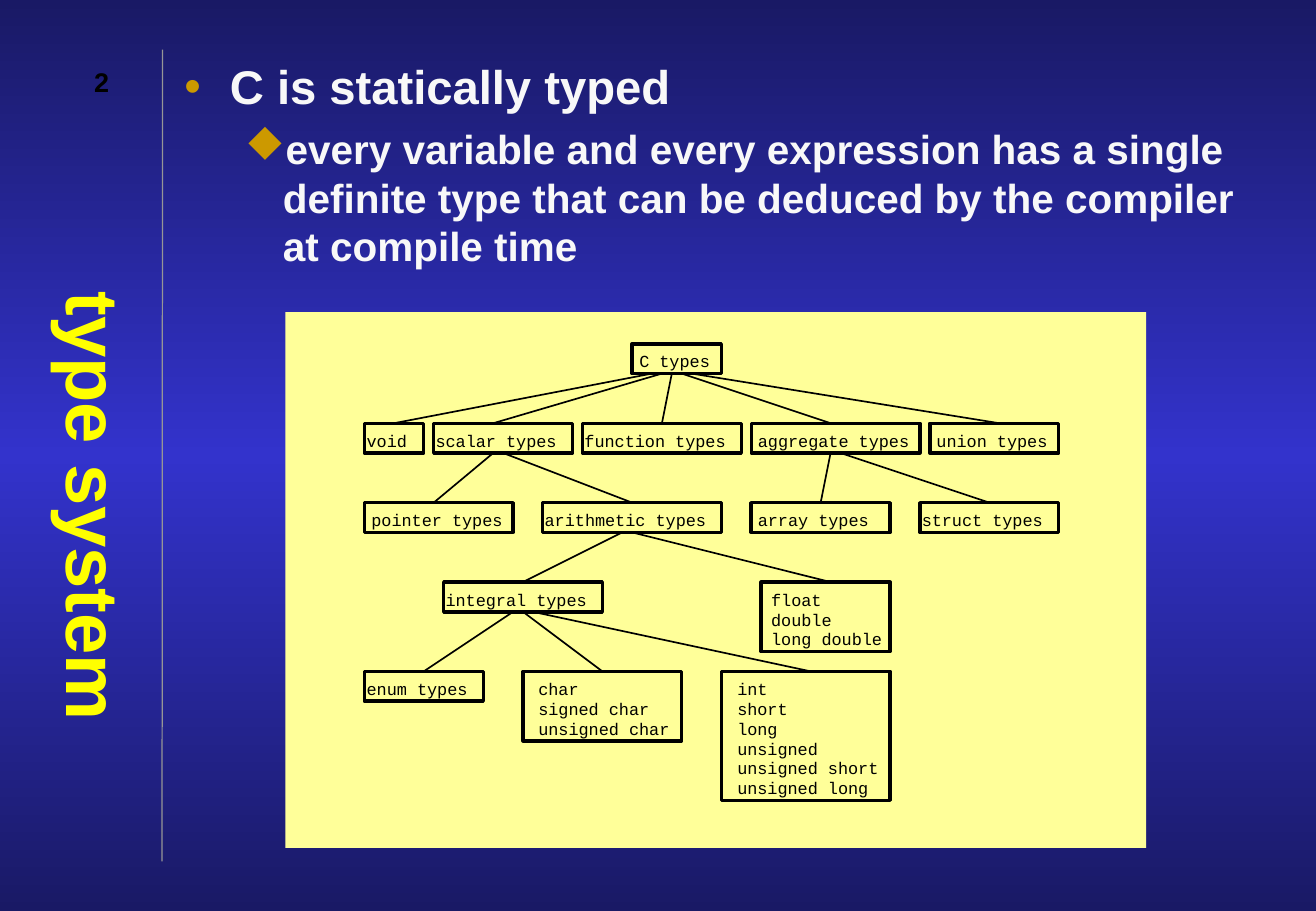
import copy
from dataclasses import dataclass

import pptx
import pptx.dml.color
import pptx.enum.shapes
import pptx.enum.text
import pptx.oxml
import pptx.oxml.ns
import pptx.shapes.autoshape
import pptx.slide
import pptx.text.text
import pptx.util

Cm = pptx.util.Cm
Pt = pptx.util.Pt
RGBColor = pptx.dml.color.RGBColor
Align = pptx.enum.text.PP_ALIGN
Anchor = pptx.enum.text.MSO_ANCHOR
qn = pptx.oxml.ns.qn

NAVY = RGBColor(0x19, 0x19, 0x65)
BLUE = RGBColor(0x33, 0x33, 0xCC)
GREY = RGBColor(0x96, 0x96, 0x96)
CREAM = RGBColor(0xFF, 0xFF, 0x99)
YELLOW = RGBColor(0xFF, 0xFF, 0x00)
GOLD = RGBColor(0xCC, 0x99, 0x00)
WHITE = RGBColor(0xF8, 0xF8, 0xF8)
BLACK = RGBColor(0x00, 0x00, 0x00)

# The type tree lies on a grid, 70 columns wide
GRID = 14.53 / 70
LEFT, TOP = 7.62, 7.19


@dataclass
class Box:
    """A tree node: col, row, wide and the line ends count grid steps."""
    text: str
    col: int
    row: int
    wide: int
    pad: float
    enter: int = 0    # column where the line from above arrives
    leave: int = 0    # column of the first line going down
    kids: tuple[str, ...] = ()

    @property
    def tall(self) -> int:
        return 2 * len(self.text.split("\n")) + 1


@dataclass
class Point:
    text: str
    size: int
    before: int
    face: str
    mark: str
    indent: float
    hang: float
    level: int


BOXES = [
    Box("C types", 27, 0, 9, 0.15, 0, 29,
        ("void", "scalar types", "function types", "aggregate types", "union types")),
    Box("void", 0, 8, 6, 0.05, 3),
    Box("scalar types", 7, 8, 14, 0.04, 13, 13, ("pointer types", "arithmetic types")),
    Box("function types", 22, 8, 16, 0.04, 30),
    Box("aggregate types", 39, 8, 17, 0.14, 47, 47, ("array types", "struct types")),
    Box("union types", 57, 8, 13, 0.14, 64),
    Box("pointer types", 0, 16, 15, 0.15, 7),
    Box("arithmetic types", 18, 16, 18, 0.04, 27, 26,
        ("integral types", "float\ndouble\nlong double")),
    Box("array types", 39, 16, 14, 0.14, 46),
    Box("struct types", 56, 16, 14, 0.04, 63),
    Box("integral types", 8, 24, 16, 0.04, 16, 15,
        ("enum types", "char\nsigned char\nunsigned char",
         "int\nshort\nlong\nunsigned\nunsigned short\nunsigned long")),
    Box("float\ndouble\nlong double", 40, 24, 13, 0.21, 47),
    Box("enum types", 0, 33, 12, 0.05, 6),
    Box("char\nsigned char\nunsigned char", 16, 33, 16, 0.32, 24),
    Box("int\nshort\nlong\nunsigned\nunsigned short\nunsigned long", 36, 33, 17, 0.33, 45),
]

# In Wingdings the letter u is a solid diamond
POINTS = [
    Point("C is statically typed", 28, 7, "Arial", "•", 0.95, 0.95, 0),
    Point("every variable and every expression has a single definite type "
          "that can be deduced by the compiler at compile time",
          24, 6, "Wingdings", "u", 2.06, 0.79, 1),
]


def across(col: int) -> Cm:
    return Cm(LEFT + col * GRID)


def down(row: int) -> Cm:
    return Cm(TOP + row * GRID)


def style(para: pptx.text.text._Paragraph, face: str, size: int,
          color: RGBColor, bold: bool = False) -> None:
    font = para.font
    font.name, font.size, font.bold = face, Pt(size), bold
    font.color.rgb = color


def inset(frame: pptx.text.text.TextFrame, side: float, upper: float) -> None:
    frame.margin_left = frame.margin_right = Cm(side)
    frame.margin_top = frame.margin_bottom = Cm(upper)


def add_text(slide: pptx.slide.Slide, left: float, top: float, wide: float,
             tall: float) -> pptx.text.text.TextFrame:
    frame = slide.shapes.add_textbox(Cm(left), Cm(top), Cm(wide), Cm(tall)).text_frame
    frame.word_wrap = True
    inset(frame, 0.25, 0.13)
    return frame


def add_rect(slide: pptx.slide.Slide, left: Cm, top: Cm, wide: Cm,
             tall: Cm) -> pptx.shapes.autoshape.Shape:
    rect = slide.shapes.add_shape(
        pptx.enum.shapes.MSO_SHAPE.RECTANGLE, left, top, wide, tall)
    rect.shadow.inherit = False
    return rect


def add_line(slide: pptx.slide.Slide, x1: Cm, y1: Cm, x2: Cm, y2: Cm,
             color: RGBColor, width: float) -> None:
    line = slide.shapes.add_connector(
        pptx.enum.shapes.MSO_CONNECTOR.STRAIGHT, x1, y1, x2, y2)
    line.line.color.rgb = color
    line.line.width = Pt(width)
    props = line._element.spPr
    props.append(props.makeelement(qn("a:effectLst"), {}))


def add_box(slide: pptx.slide.Slide, box: Box) -> None:
    rect = add_rect(slide, across(box.col), down(box.row),
                    Cm(box.wide * GRID), Cm(box.tall * GRID))
    rect.fill.background()
    rect.line.color.rgb = BLACK
    rect.line.width = Pt(2)
    frame = rect.text_frame
    frame.word_wrap = True
    frame.vertical_anchor = Anchor.TOP
    inset(frame, 0, 0.16)
    frame.margin_left = Cm(box.pad)
    frame.text = box.text
    for para in frame.paragraphs:
        para.alignment = Align.LEFT
        para.line_spacing = Cm(2 * GRID)
        style(para, "Courier New", 10, BLACK)


def add_point(para: pptx.text.text._Paragraph, point: Point) -> None:
    para.text = point.text
    para.level = point.level
    para.space_before = Pt(point.before)
    style(para, "Arial", point.size, WHITE, True)
    props = para._p.get_or_add_pPr()
    props.set("marL", str(Cm(point.indent)))
    props.set("indent", str(-Cm(point.hang)))
    space = pptx.oxml.ns.nsdecls("a")
    for mark in (f'<a:buClr {space}><a:srgbClr val="{GOLD}"/></a:buClr>',
                 f'<a:buFont {space} typeface="{point.face}"/>',
                 f'<a:buChar {space} char="{point.mark}"/>'):
        props.insert_element_before(
            pptx.oxml.parse_xml(mark), "a:tabLst", "a:defRPr", "a:extLst")


def paint_back(slide: pptx.slide.Slide) -> None:
    fill = slide.background.fill
    fill.gradient()
    fill.gradient_angle = 90
    stops = slide.element.find(".//" + qn("a:gsLst"))
    stops.insert(1, copy.deepcopy(stops[0]))
    for stop, place, color in zip(fill.gradient_stops, (0, 0.5, 1), (NAVY, BLUE, NAVY)):
        stop.position = place
        stop.color.rgb = color


def main() -> None:
    deck = pptx.Presentation()
    deck.slide_width, deck.slide_height = Cm(27.53), Cm(19.05)
    slide = deck.slides.add_slide(deck.slide_layouts[6])
    paint_back(slide)

    # Side rule and panel
    add_line(slide, Cm(3.39), Cm(18.01), Cm(3.4), Cm(1.04), GREY, 0.75)
    panel = add_rect(slide, Cm(5.97), Cm(6.53), Cm(18.01), Cm(11.2))
    panel.fill.solid()
    panel.fill.fore_color.rgb = CREAM
    panel.line.fill.background()

    # Upright title, centred along its box
    title = add_text(slide, 0.84, 3.18, 2.34, 14.81)
    inset(title, 0.13, 0.25)
    title.vertical_anchor = Anchor.MIDDLE
    title._txBody.bodyPr.set("vert", "eaVert")
    title._txBody.bodyPr.set("anchorCtr", "1")
    title.text = "type system"
    title.paragraphs[0].alignment = Align.CENTER
    style(title.paragraphs[0], "Arial", 44, YELLOW, True)

    # Bullet points
    body = add_text(slide, 3.61, 1.07, 22.66, 16.94)
    for i, point in enumerate(POINTS):
        add_point(body.add_paragraph() if i else body.paragraphs[0], point)

    # Type tree
    nodes = {box.text: box for box in BOXES}
    for box in BOXES:
        add_box(slide, box)
    for box in BOXES:
        for i, name in enumerate(box.kids):
            kid = nodes[name]
            add_line(slide, across(box.leave + i), down(box.row + box.tall),
                     across(kid.enter), down(kid.row), BLACK, 1)

    # Slide number
    number = add_text(slide, 1.07, 1.07, 2.11, 1.27)
    number.vertical_anchor = Anchor.MIDDLE
    number.text = "2"
    number.paragraphs[0].alignment = Align.CENTER
    style(number.paragraphs[0], "Arial", 16, BLACK, True)

    deck.save("out.pptx")


if __name__ == "__main__":
    main()
